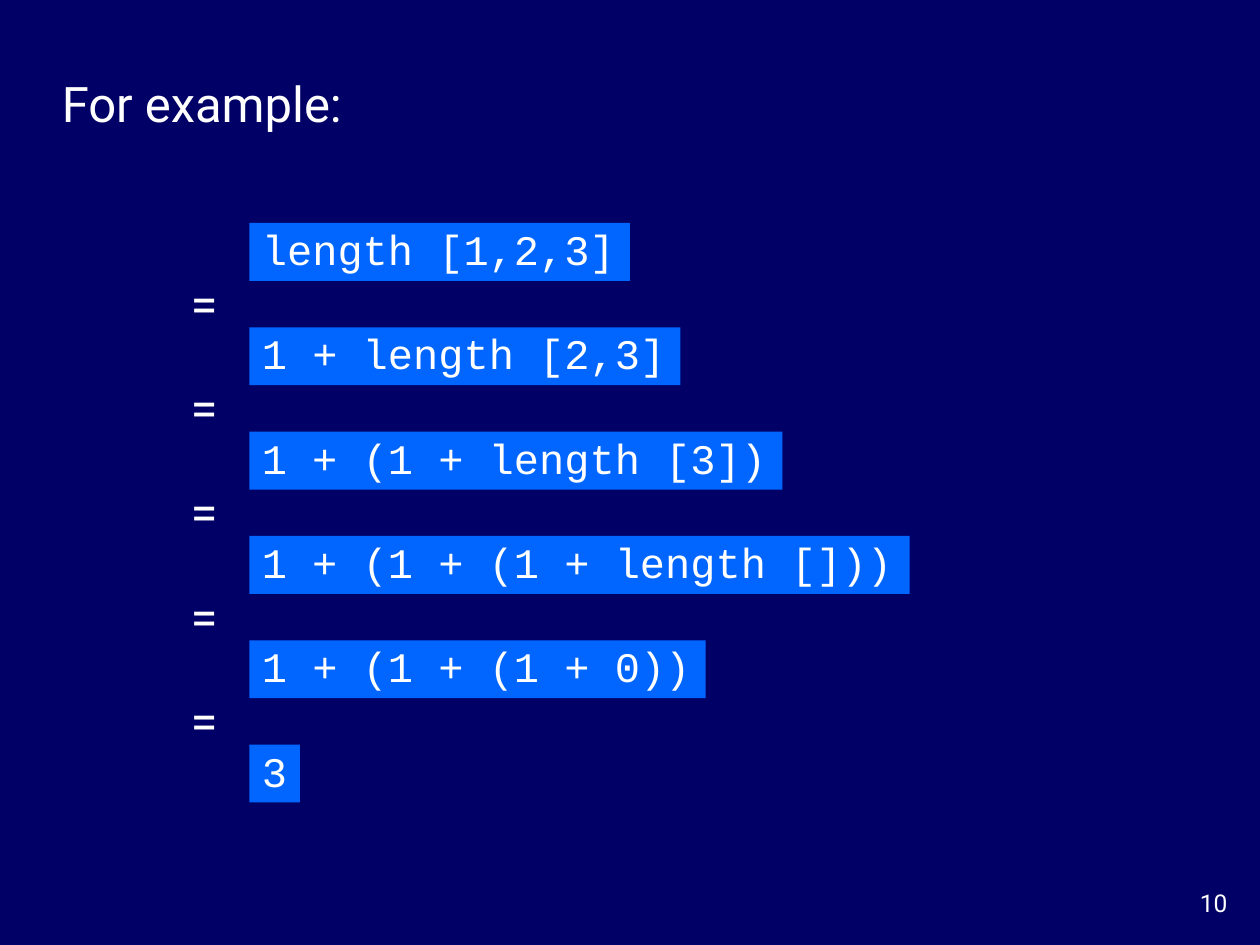
import dataclasses

import pptx
import pptx.dml.color
import pptx.enum.shapes
import pptx.enum.text
import pptx.util

Inches = pptx.util.Inches
RGB = pptx.dml.color.RGBColor
Align = pptx.enum.text.PP_ALIGN
Anchor = pptx.enum.text.MSO_ANCHOR
AutoSize = pptx.enum.text.MSO_AUTO_SIZE


@dataclasses.dataclass(frozen=True)
class Theme:
    background: RGB = RGB(0x00, 0x00, 0x66)
    code_fill: RGB = RGB(0x00, 0x66, 0xFF)
    text: RGB = RGB(0xFF, 0xFF, 0xFF)
    body_font: str = "Roboto"
    code_font: str = "Courier New"
    title_size: int = 28
    code_size: int = 24
    number_size: int = 14


@dataclasses.dataclass(frozen=True)
class Step:
    code: str
    width: float


THEME = Theme()
STEPS = [
    Step("length [1,2,3]", 3.02),
    Step("1 + length [2,3]", 3.42),
    Step("1 + (1 + length [3])", 4.23),
    Step("1 + (1 + (1 + length []))", 5.24),
    Step("1 + (1 + (1 + 0))", 3.62),
    Step("3", 0.4),
]
FIRST_TOP, LAST_TOP = 1.77, 5.91
PITCH = (LAST_TOP - FIRST_TOP) / (len(STEPS) - 1)
EQUALS_RISE = 0.48


def write(sp, text: str, size: int, font: str, align=Align.LEFT):
    """Fill a shape with one run and return its paragraph."""
    p = sp.text_frame.paragraphs[0]
    p.alignment = align
    r = p.add_run()
    r.text = text
    r.font.size = pptx.util.Pt(size)
    r.font.name = font
    r.font.color.rgb = THEME.text
    return p


def fit(sp) -> None:
    """Keep the text on one line, centred vertically."""
    tf = sp.text_frame
    tf.word_wrap = False
    tf.auto_size = AutoSize.SHAPE_TO_FIT_TEXT
    tf.vertical_anchor = Anchor.MIDDLE


def add_code(shapes, step: Step, top: float) -> None:
    sp = shapes.add_shape(
        pptx.enum.shapes.MSO_SHAPE.RECTANGLE,
        Inches(1.98), Inches(top), Inches(step.width), Inches(0.46))
    sp.shadow.inherit = False
    sp.fill.solid()
    sp.fill.fore_color.rgb = THEME.code_fill
    sp.line.fill.background()
    fit(sp)
    p = write(sp, step.code, THEME.code_size, THEME.code_font)
    p.line_spacing = 0.9


def add_equals(shapes, top: float) -> None:
    sp = shapes.add_textbox(Inches(1.38), Inches(top), Inches(0.48), Inches(0.57))
    fit(sp)
    write(sp, "=", THEME.title_size, THEME.body_font, Align.CENTER)


def main() -> None:
    prs = pptx.Presentation()
    prs.slide_width, prs.slide_height = Inches(10), Inches(7.5)
    s = prs.slides.add_slide(prs.slide_layouts.get_by_name("Title Only"))
    s.background.fill.solid()
    s.background.fill.fore_color.rgb = THEME.background

    # Slide number
    number = s.shapes.add_textbox(Inches(9.17), Inches(7), Inches(0.67), Inches(0.33))
    number.text_frame.word_wrap = True
    write(number, "10", THEME.number_size, THEME.body_font, Align.RIGHT)

    # Title
    title = s.shapes.title
    title.left, title.top = Inches(0.39), Inches(0.53)
    title.width, title.height = Inches(2.45), Inches(0.57)
    fit(title)
    write(title, "For example:", THEME.title_size, THEME.body_font)

    # Evaluation steps: each one after the first is grouped with its equals sign
    for i, step in enumerate(STEPS):
        top = FIRST_TOP + i * PITCH
        if i == 0:
            add_code(s.shapes, step, top)
        else:
            group = s.shapes.add_group_shape()
            add_code(group.shapes, step, top)
            add_equals(group.shapes, top - EQUALS_RISE)

    prs.save("out.pptx")


if __name__ == "__main__":
    main()
